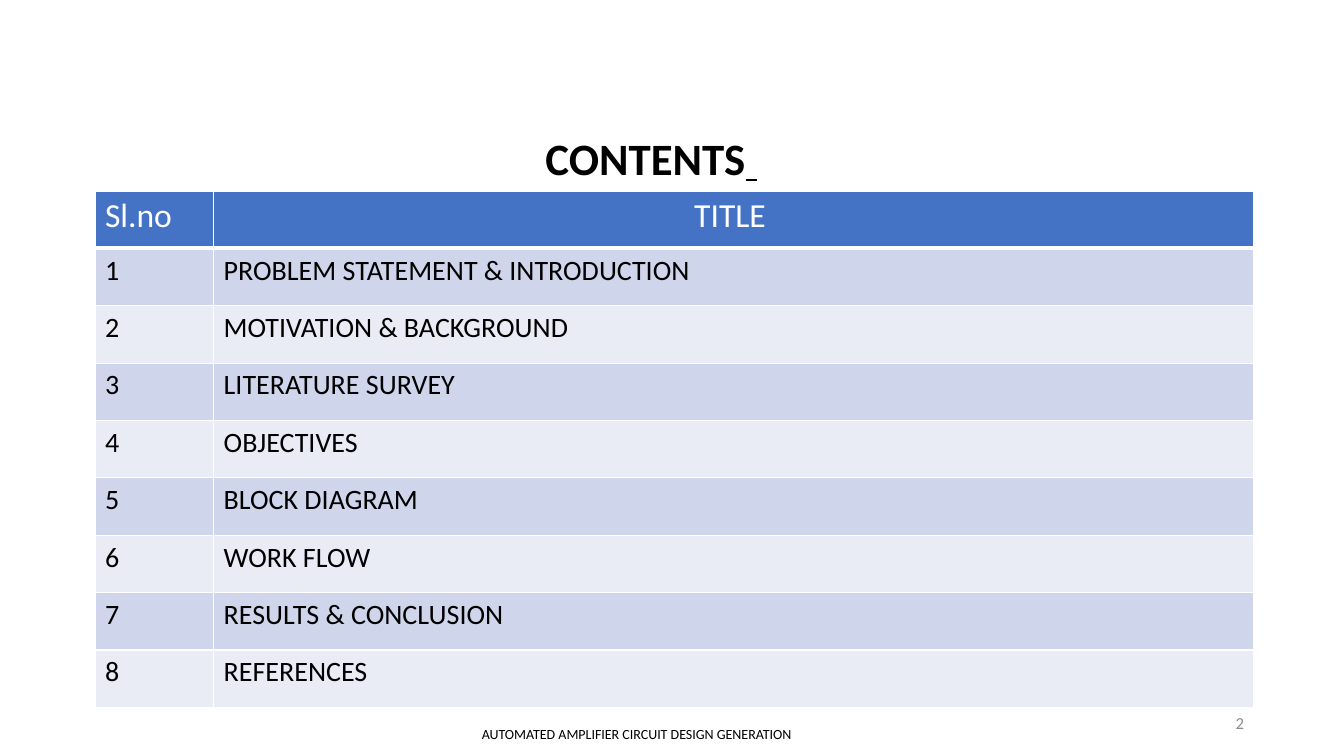
import dataclasses

import pptx
import pptx.dml.color
import pptx.enum.text
import pptx.oxml
import pptx.oxml.ns
import pptx.util

Pt = pptx.util.Pt
RGB = pptx.dml.color.RGBColor.from_string
Align = pptx.enum.text.PP_ALIGN
Anchor = pptx.enum.text.MSO_ANCHOR


@dataclasses.dataclass(frozen=True)
class Theme:
    font: str = "Calibri"
    serif: str = "Times New Roman"
    ink: str = "000000"
    white: str = "FFFFFF"
    grey: str = "8C8C8C"
    head: str = "4472C4"
    bands: tuple = ("CFD5EA", "E9EBF5")
    title: int = 32
    label: int = 24
    body: int = 20
    page: int = 12
    foot: int = 10


THEME = Theme()
TOPICS = [
    ("PROBLEM STATEMENT & INTRODUCTION", Align.LEFT),
    ("MOTIVATION & BACKGROUND", Align.JUSTIFY),
    ("LITERATURE SURVEY", Align.JUSTIFY),
    ("OBJECTIVES", Align.LEFT),
    ("BLOCK DIAGRAM", Align.LEFT),
    ("WORK FLOW", Align.LEFT),
    ("RESULTS & CONCLUSION", Align.LEFT),
    ("REFERENCES", Align.LEFT),
]


def write(frame, text, size, color=THEME.ink, font=THEME.font,
          align=Align.LEFT, bold=False, line=False):
    """Add a formatted run to the first paragraph of a text frame."""
    para = frame.paragraphs[0]
    para.alignment = align
    run = para.add_run()
    run.text = text
    run.font.name = font
    run.font.size = Pt(size)
    run.font.bold = bold
    run.font.underline = line
    run.font.color.rgb = RGB(color)


def add_title(slide):
    title = slide.shapes.title
    title.left, title.top = Pt(51.1), Pt(62.6)
    title.width, title.height = Pt(828), Pt(104.4)
    frame = title.text_frame
    frame.word_wrap = True
    frame.vertical_anchor = Anchor.MIDDLE
    frame.paragraphs[0].line_spacing = 0.9
    style = {"size": THEME.title, "align": Align.CENTER, "bold": True}
    write(frame, "CONTENTS", **style)
    write(frame, " ", font=THEME.serif, line=True, **style)


def add_edge(cell, side, width):
    space = pptx.oxml.ns.nsdecls("a")
    edge = pptx.oxml.parse_xml(
        f'<a:{side} {space} w="{Pt(width)}"><a:solidFill>'
        f'<a:srgbClr val="{THEME.white}"/></a:solidFill></a:{side}>')
    cell._tc.get_or_add_tcPr().append(edge)


def fill_cell(cell, row, text, fill, **style):
    widths = {"lnL": 1, "lnR": 1,
              "lnT": 3 if row == 1 else 1, "lnB": 3 if row == 0 else 1}
    for side, width in widths.items():
        add_edge(cell, side, width)
    cell.fill.solid()
    cell.fill.fore_color.rgb = RGB(fill)
    write(cell.text_frame, text, **style)


def add_index(slide):
    count = len(TOPICS) + 1
    table = slide.shapes.add_table(
        count, 2, Pt(67.8), Pt(136.4), Pt(828), Pt(41 * count)).table
    table.columns[0].width, table.columns[1].width = Pt(84.8), Pt(743.2)
    for col, (text, align) in enumerate(
            [("Sl.no", Align.LEFT), ("TITLE ", Align.CENTER)]):
        fill_cell(table.cell(0, col), 0, text, THEME.head,
                  size=THEME.label, color=THEME.white, align=align)
    for row, (topic, align) in enumerate(TOPICS, 1):
        band = THEME.bands[(row - 1) % 2]
        fill_cell(table.cell(row, 0), row, str(row), band, size=THEME.body)
        fill_cell(table.cell(row, 1), row, topic, band,
                  size=THEME.body, align=align)


def add_note(slide, box, text, anchor=Anchor.TOP, **style):
    """Add a small line of text at the foot of the slide."""
    frame = slide.shapes.add_textbox(*map(Pt, box)).text_frame
    frame.word_wrap = True
    frame.vertical_anchor = anchor
    write(frame, text, **style)


def main():
    deck = pptx.Presentation()
    deck.slide_width, deck.slide_height = Pt(960), Pt(540)
    slide = deck.slides.add_slide(deck.slide_layouts.get_by_name("Title Only"))
    add_title(slide)
    add_index(slide)
    add_note(slide, (679.7, 501.8, 216, 28.8), "2", anchor=Anchor.MIDDLE,
             size=THEME.page, color=THEME.grey, align=Align.RIGHT)
    add_note(slide, (214.6, 514.8, 480.2, 19.4),
             "AUTOMATED AMPLIFIER CIRCUIT DESIGN GENERATION",
             size=THEME.foot, align=Align.CENTER)
    deck.save("out.pptx")


if __name__ == "__main__":
    main()
